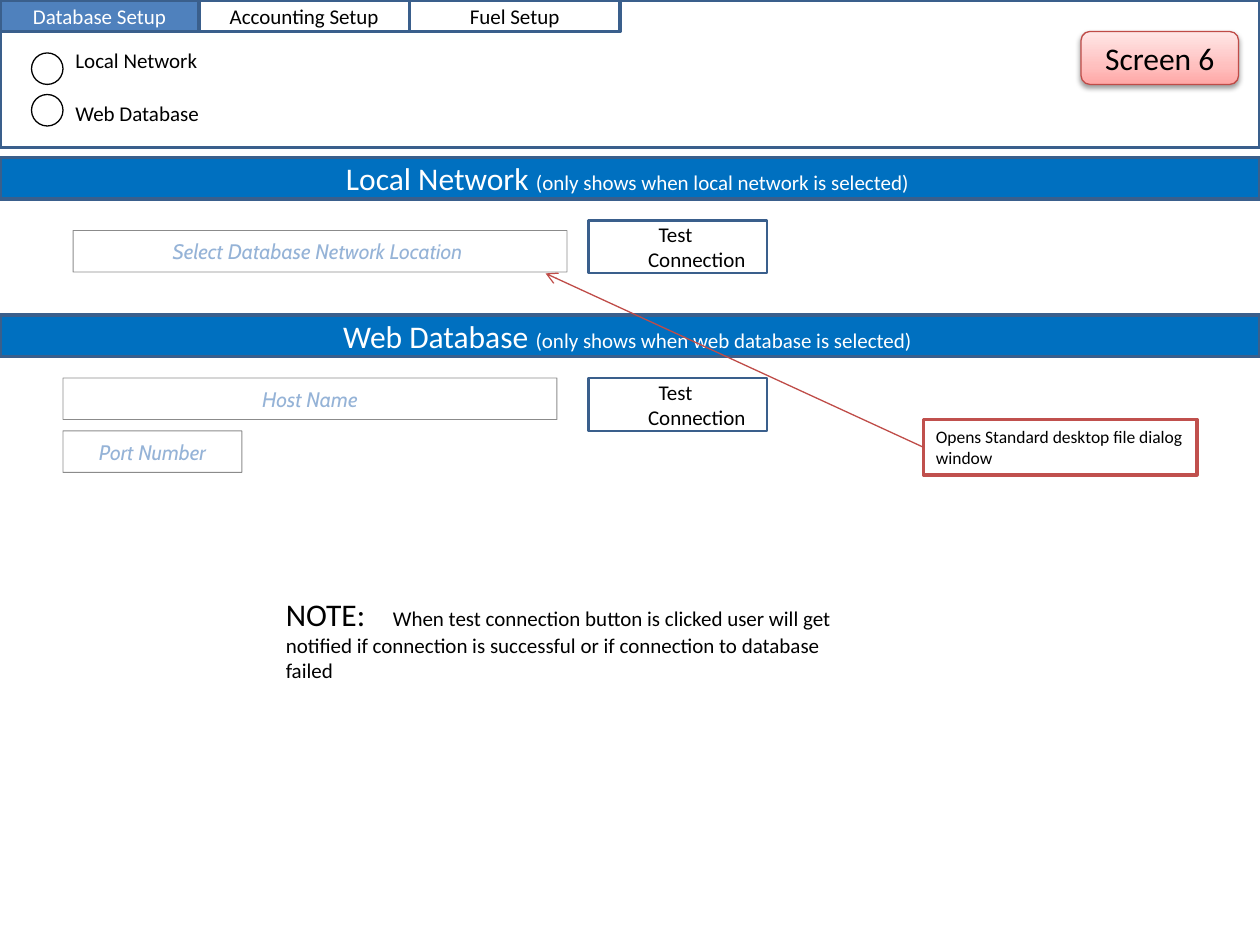
from copy import deepcopy
from dataclasses import dataclass

from lxml import etree
from pptx import Presentation
from pptx.dml.color import RGBColor
from pptx.enum.shapes import MSO_CONNECTOR, MSO_SHAPE
from pptx.enum.text import MSO_ANCHOR, PP_ALIGN
from pptx.oxml.ns import qn
from pptx.util import Inches, Pt

RECT, OVAL, ROUNDED = MSO_SHAPE.RECTANGLE, MSO_SHAPE.OVAL, MSO_SHAPE.ROUNDED_RECTANGLE
LEFT, CENTER = PP_ALIGN.LEFT, PP_ALIGN.CENTER
TOP, MIDDLE = MSO_ANCHOR.TOP, MSO_ANCHOR.MIDDLE
STRAIGHT = MSO_CONNECTOR.STRAIGHT


@dataclass(frozen=True)
class Theme:
    font: str = "Calibri"
    field_font: str = "Cabin"
    black: str = "000000"
    white: str = "FFFFFF"
    border: str = "3A5F8C"
    band: str = "0070C0"
    active_tab: str = "4F81BD"
    field_line: str = "0D0D0D"
    hint: str = "95B3D7"
    callout: str = "C0504D"
    accent_line: str = "BF4C48"
    badge_stops: tuple = ((0, "FFA6A5"), (0.35, "FFC0BF"), (1, "FFE7E7"))
    large: int = 18
    normal: int = 12
    small: int = 10


THEME = Theme()


def add_child(parent, tag, **attributes):
    child = etree.SubElement(parent, qn(tag))
    for name, value in attributes.items():
        child.set(name, str(value))
    return child


def add_text(para, text, size=THEME.normal, color=THEME.black, font=THEME.font, italic=False):
    span = para.add_run()
    span.text = text
    span.font.size = Pt(size)
    span.font.name = font
    span.font.italic = italic
    span.font.color.rgb = RGBColor.from_string(color)


def first_para(box, align=CENTER, anchor=MIDDLE):
    frame = box.text_frame
    frame.word_wrap = True
    frame.vertical_anchor = anchor
    para = frame.paragraphs[0]
    para.alignment = align
    return para


def add_box(page, left, top, width, height, kind=RECT, fill=None, line=THEME.border, weight=2):
    box = page.shapes.add_shape(kind, Inches(left), Inches(top), Inches(width), Inches(height))
    box.shadow.inherit = False
    if fill:
        box.fill.solid()
        box.fill.fore_color.rgb = RGBColor.from_string(fill)
    else:
        box.fill.background()
    box.line.color.rgb = RGBColor.from_string(line)
    box.line.width = Pt(weight)
    return box


def add_tab(page, left, width, label, active=False):
    box = add_box(page, left, 0, width, 0.25, fill=THEME.active_tab if active else None)
    add_text(first_para(box), label, color=THEME.white if active else THEME.black)


def add_option(page, circle_top, label_top, label):
    """Radio button with its label."""
    add_box(page, 0.25, circle_top, 0.25, 0.25, kind=OVAL, line=THEME.black, weight=0.75)
    box = page.shapes.add_textbox(Inches(0.5), Inches(label_top), Inches(1.21), Inches(0.3))
    para = first_para(box, align=LEFT, anchor=TOP)
    box.text_frame.word_wrap = False
    add_text(para, label)


def add_band(page, top, heading, remark):
    para = first_para(add_box(page, 0, top, 10, 0.33, fill=THEME.band))
    add_text(para, heading + " ", size=THEME.large, color=THEME.white)
    add_text(para, remark + " ", color=THEME.white)


def add_field(page, left, top, width, hint):
    box = add_box(page, left, top, width, 0.33, fill=THEME.white, line=THEME.field_line, weight=0.5)
    line_color = box.line._get_or_add_ln().find(".//" + qn("a:srgbClr"))
    add_child(line_color, "a:alpha", val=48000)
    add_text(first_para(box), hint, color=THEME.hint, font=THEME.field_font, italic=True)


def add_test_button(page, top):
    box = add_box(page, 4.67, top, 1.42, 0.42, weight=1.25)
    add_text(first_para(box), "Test ")
    para = box.text_frame.add_paragraph()
    para.alignment = CENTER
    para._p.get_or_add_pPr().set("marL", str(Inches(0.3)))
    add_text(para, "Connection")


def add_note(page):
    box = page.shapes.add_textbox(Inches(2.17), Inches(4.67), Inches(4.67), Inches(0.81))
    para = first_para(box, align=LEFT, anchor=TOP)
    tabs = add_child(para._p.get_or_add_pPr(), "a:tabLst")
    add_child(tabs, "a:tab", pos=Inches(0.85), algn="l")
    add_text(para, "NOTE:\t", size=THEME.large)
    add_text(para, "When test connection button is clicked user will get notified if "
                   "connection is successful or if connection to database failed")


def add_badge(page, label):
    """Rounded label with a gradient and a soft shadow."""
    box = add_box(page, 8.58, 0.25, 1.25, 0.42, kind=ROUNDED, line=THEME.accent_line, weight=0.75)
    box.fill.gradient()
    box.fill.gradient_angle = 90
    stop_list = box._element.spPr.find(".//" + qn("a:gsLst"))
    stop_list.append(deepcopy(stop_list[-1]))
    for stop, (position, color) in zip(box.fill.gradient_stops, THEME.badge_stops):
        stop.position = position
        stop.color.rgb = RGBColor.from_string(color)
    effects = box._element.spPr.find(qn("a:effectLst"))
    shadow = add_child(effects, "a:outerShdw", blurRad=Pt(3.1), dist=Pt(1.6),
                       dir=90 * 60000, rotWithShape=0)
    add_child(add_child(shadow, "a:srgbClr", val=THEME.black), "a:alpha", val=38000)
    add_text(first_para(box), label, size=THEME.large)


def add_callout(page, text):
    """Remark box with an arrow to the network location field."""
    box = add_box(page, 7.33, 3.33, 2.17, 0.44, fill=THEME.white, line=THEME.callout)
    add_text(first_para(box, align=LEFT, anchor=TOP), text, size=THEME.small)
    arrow = page.shapes.add_connector(STRAIGHT, Inches(7.33), Inches(3.55),
                                      Inches(4.33), Inches(2.17))
    arrow.line.color.rgb = RGBColor.from_string(THEME.accent_line)
    arrow.line.width = Pt(0.75)
    add_child(arrow.line._get_or_add_ln(), "a:tailEnd", type="arrow")
    add_child(arrow._element.spPr, "a:effectLst")


def main():
    deck = Presentation()
    deck.slide_width, deck.slide_height = Inches(10), Inches(7.5)
    page = deck.slides.add_slide(deck.slide_layouts[6])

    add_box(page, 0, 0, 10, 1.17)
    add_tab(page, 1.58, 1.67, "Accounting Setup")
    add_tab(page, 0, 1.58, "Database Setup", active=True)
    add_tab(page, 3.25, 1.67, "Fuel Setup")
    add_option(page, 0.42, 0.33, "Local Network")
    add_option(page, 0.75, 0.75, "Web Database")

    add_band(page, 1.25, "Local Network", "(only shows when local network is selected)")
    add_field(page, 0.58, 1.83, 3.92, "Select Database Network Location ")
    add_test_button(page, 1.75)

    add_band(page, 2.5, "Web Database", "(only shows when web database is selected)")
    add_field(page, 0.5, 3, 3.92, "Host Name")
    add_field(page, 0.5, 3.42, 1.42, "Port Number")
    add_test_button(page, 3)

    add_note(page)
    add_badge(page, "Screen 6")
    add_callout(page, "Opens Standard desktop file dialog window")
    deck.save("out.pptx")


if __name__ == "__main__":
    main()
